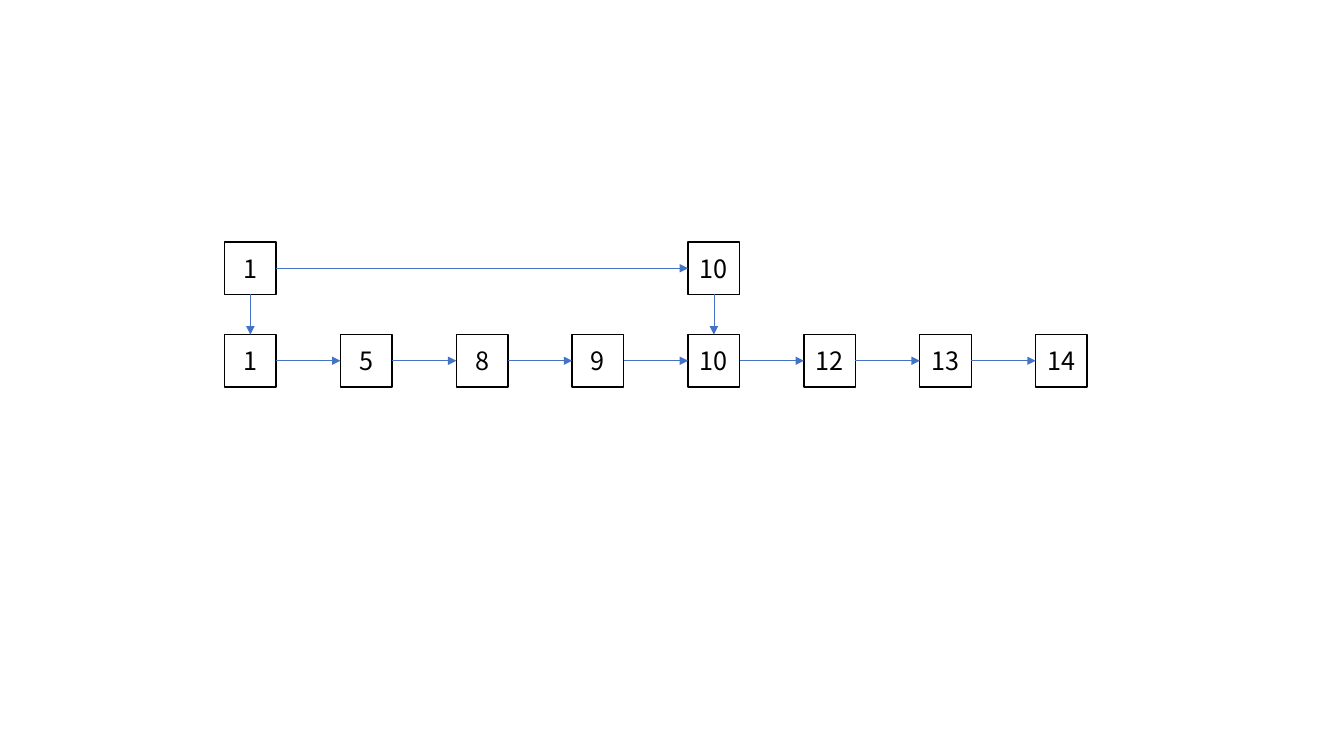
import dataclasses

import lxml.etree
import pptx
import pptx.dml.color
import pptx.enum.shapes
import pptx.enum.text
import pptx.oxml.ns
import pptx.util

Cm = pptx.util.Cm
TOP, LEFT, BOTTOM, RIGHT = range(4)  # connection sites of a rectangle


@dataclasses.dataclass(frozen=True)
class Theme:
    font: str = "Noto Sans CJK SC"
    text_size: float = 18
    ink: str = "000000"
    paper: str = "FFFFFF"
    arrow: str = "4472C4"
    border_width: float = 1
    arrow_width: float = 0.5


class SkipListSlide:
    def __init__(self, slide, theme):
        self.slide = slide
        self.theme = theme

    @staticmethod
    def color(value):
        return pptx.dml.color.RGBColor.from_string(value)

    def node(self, text, left, top, width=1.3, height=1.32):
        """Add a bordered square holding one key."""
        shape = self.slide.shapes.add_shape(
            pptx.enum.shapes.MSO_SHAPE.RECTANGLE,
            Cm(left), Cm(top), Cm(width), Cm(height))
        shape.shadow.inherit = False
        shape.fill.solid()
        shape.fill.fore_color.rgb = self.color(self.theme.paper)
        shape.line.color.rgb = self.color(self.theme.ink)
        shape.line.width = pptx.util.Pt(self.theme.border_width)

        frame = shape.text_frame
        frame.margin_left = frame.margin_right = Cm(0)
        frame.vertical_anchor = pptx.enum.text.MSO_ANCHOR.MIDDLE
        paragraph = frame.paragraphs[0]
        paragraph.alignment = pptx.enum.text.PP_ALIGN.CENTER
        run = paragraph.add_run()
        run.text = text
        run.font.name = self.theme.font
        run.font.size = pptx.util.Pt(self.theme.text_size)
        run.font.color.rgb = self.color(self.theme.ink)
        return shape

    def arrow(self, source, source_side, target, target_side):
        """Join two nodes with an arrow pointing at the target."""
        connector = self.slide.shapes.add_connector(
            pptx.enum.shapes.MSO_CONNECTOR.STRAIGHT, 0, 0, 0, 0)
        connector.begin_connect(source, source_side)
        connector.end_connect(target, target_side)
        connector.line.color.rgb = self.color(self.theme.arrow)
        connector.line.width = pptx.util.Pt(self.theme.arrow_width)
        qualify = pptx.oxml.ns.qn
        properties = connector.element.spPr
        lxml.etree.SubElement(
            properties.find(qualify("a:ln")), qualify("a:tailEnd"), type="triangle")
        lxml.etree.SubElement(properties, qualify("a:effectLst"))

    def level(self, keys, columns, top, left=5.66, pitch=2.92):
        """Add one row of nodes and return them by key."""
        return {key: self.node(key, left + columns[key] * pitch, top) for key in keys}

    def chain(self, nodes):
        """Link each node of a level to the next one."""
        row = list(nodes.values())
        for source, target in zip(row, row[1:]):
            self.arrow(source, RIGHT, target, LEFT)


def main():
    presentation = pptx.Presentation()
    presentation.slide_width = Cm(33.87)
    presentation.slide_height = Cm(19.05)
    slide = presentation.slides.add_slide(presentation.slide_layouts[6])
    skip_list = SkipListSlide(slide, Theme())

    # Both levels share the columns of the full list
    keys = ["1", "5", "8", "9", "10", "12", "13", "14"]
    columns = {key: column for column, key in enumerate(keys)}
    base_level = skip_list.level(keys, columns, top=8.43)
    index_level = skip_list.level(["1", "10"], columns, top=6.1)

    # Links along each level
    skip_list.chain(base_level)
    skip_list.chain(index_level)

    # Links down from the index
    for key, index_node in index_level.items():
        skip_list.arrow(index_node, BOTTOM, base_level[key], TOP)

    presentation.save("out.pptx")


if __name__ == "__main__":
    main()
